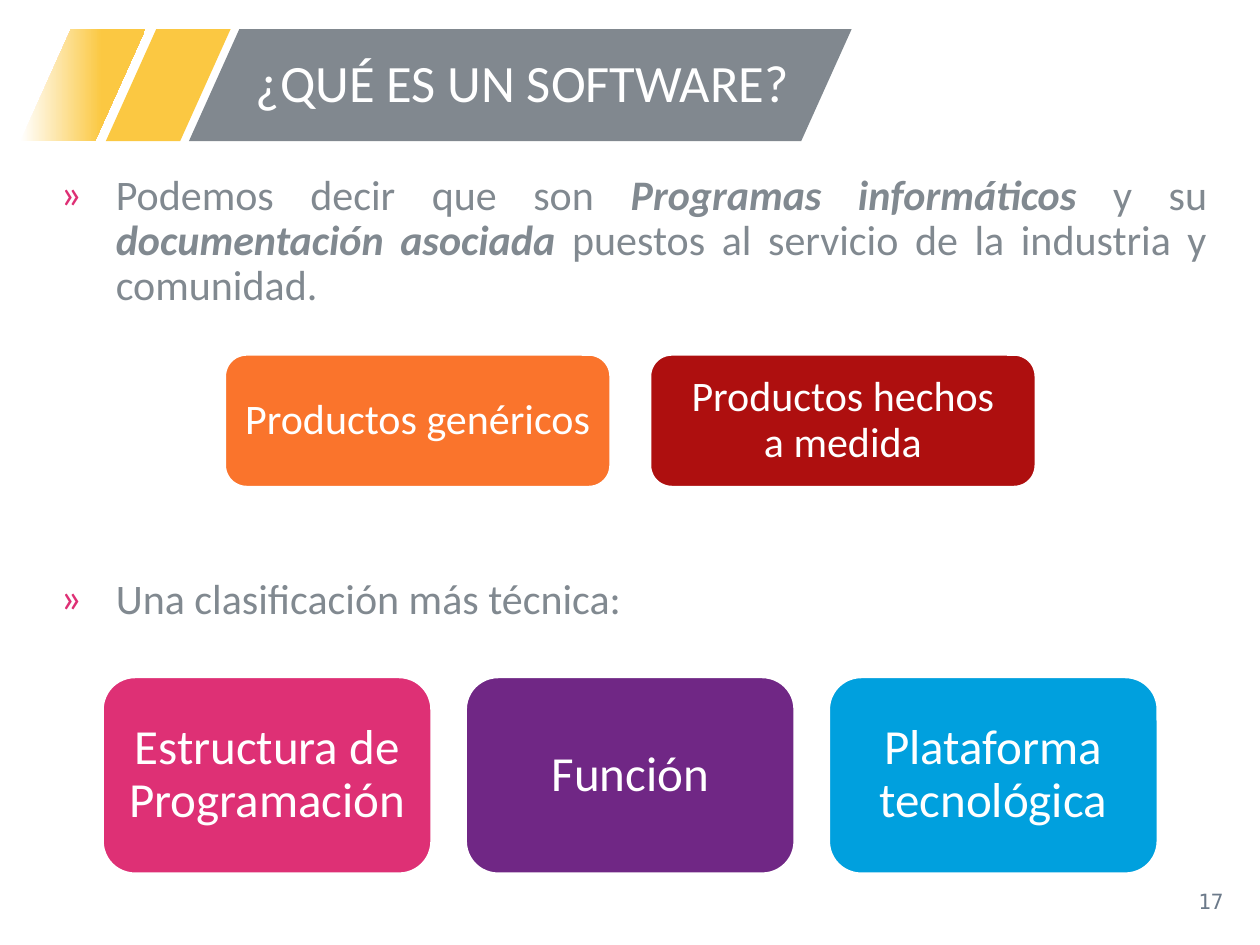
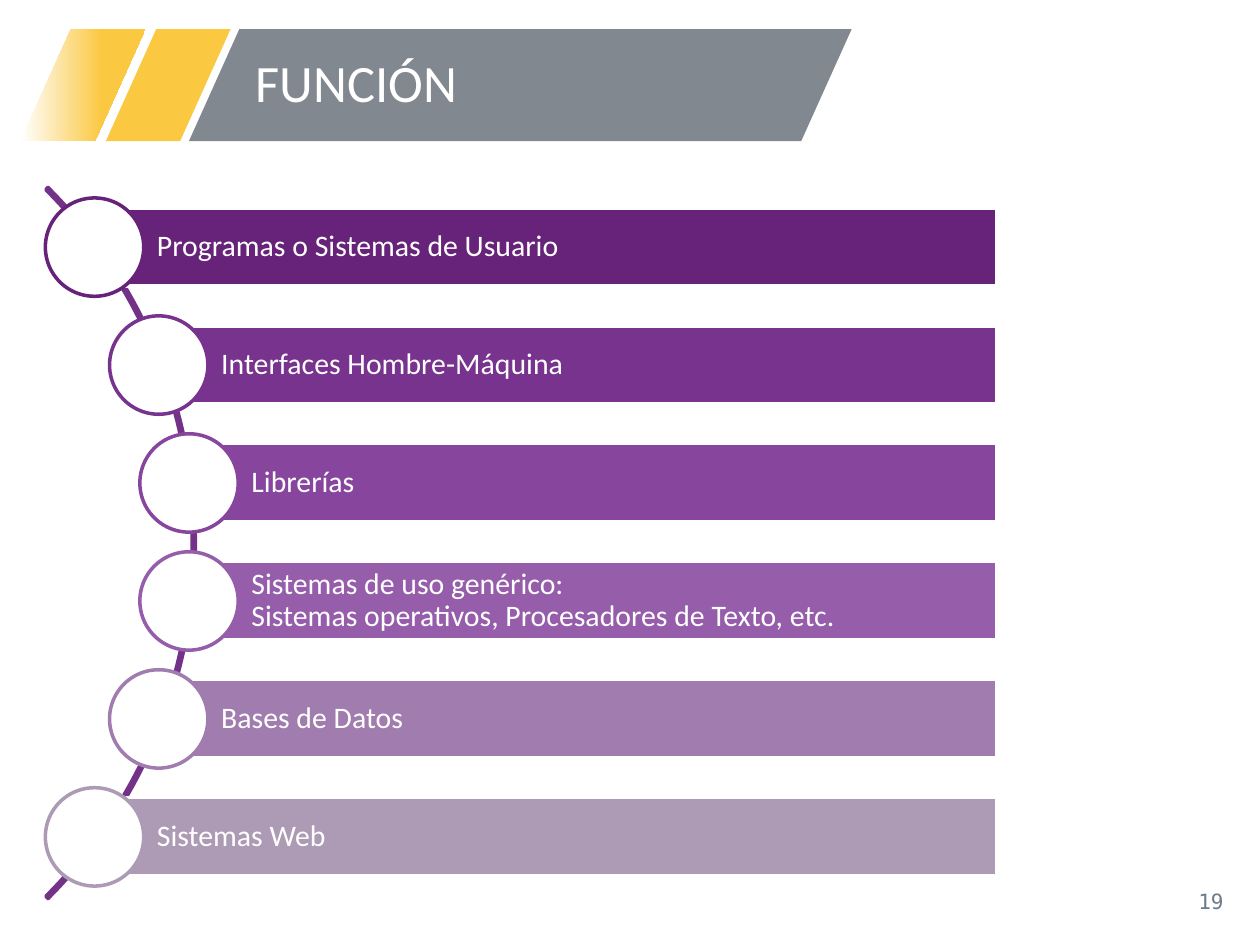
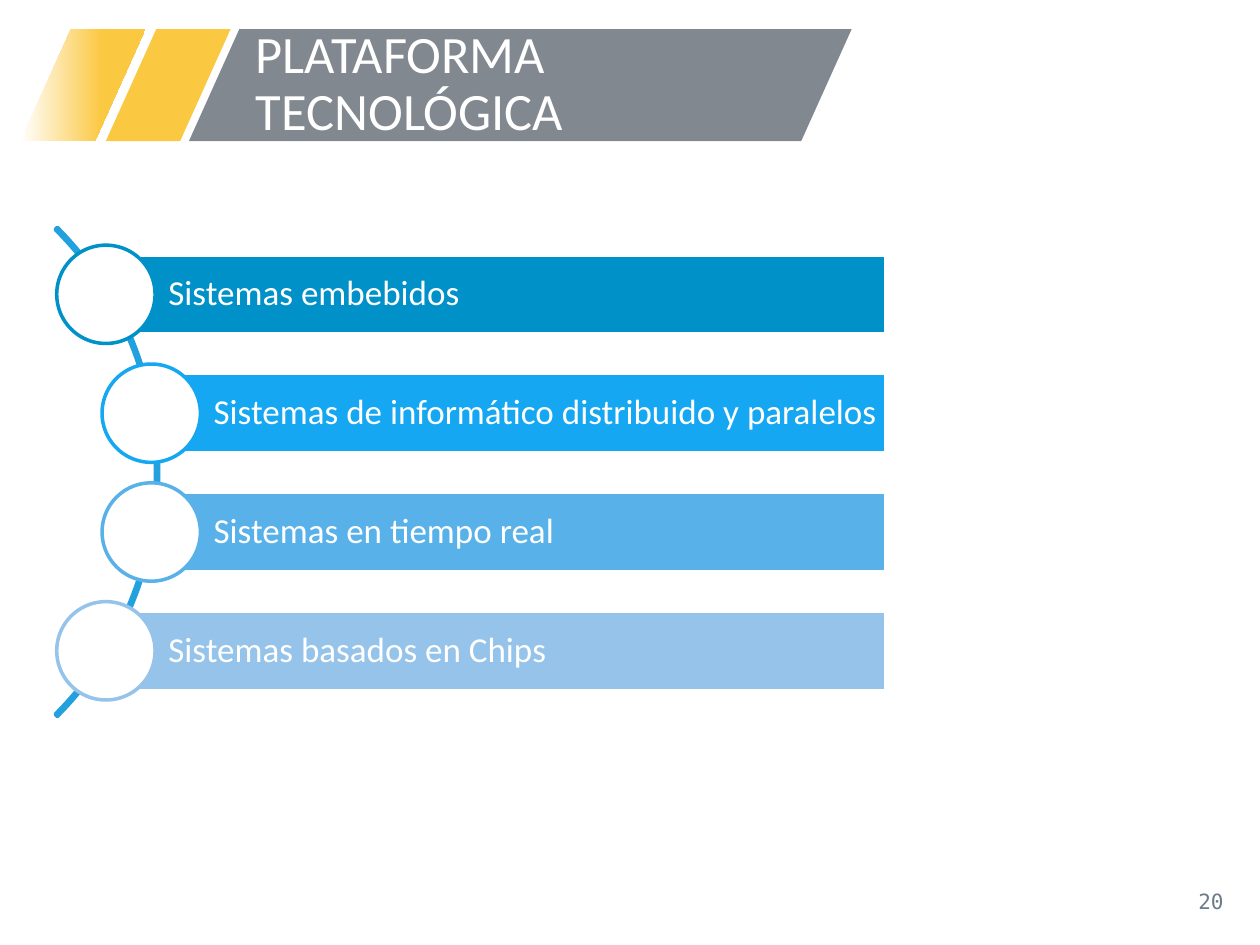
from lxml import etree
from pptx import Presentation
from pptx.dml.color import RGBColor
from pptx.enum.shapes import MSO_SHAPE
from pptx.enum.text import MSO_ANCHOR, MSO_AUTO_SIZE, PP_ALIGN
from pptx.oxml.ns import qn
from pptx.util import Pt

PARALLELOGRAM = MSO_SHAPE.PARALLELOGRAM
ROUNDED = MSO_SHAPE.ROUNDED_RECTANGLE
RECTANGLE = MSO_SHAPE.RECTANGLE
OVAL = MSO_SHAPE.OVAL
ARC = MSO_SHAPE.BLOCK_ARC
MIDDLE = MSO_ANCHOR.MIDDLE
TOP = MSO_ANCHOR.TOP
NO_FIT = MSO_AUTO_SIZE.NONE
LEFT, CENTER, RIGHT, JUSTIFY = PP_ALIGN.LEFT, PP_ALIGN.CENTER, PP_ALIGN.RIGHT, PP_ALIGN.JUSTIFY

WHITE, YELLOW, GRAY = "FFFFFF", "FBC842", "81888F"
BODY_GRAY, NUMBER_GRAY, PINK = "818990", "6C7A8A", "DE3075"
colour = RGBColor.from_string


def add_span(para, text, size, shade, face="Calibri", strong=False):
    span = para.add_run()
    span.text = text
    span.font.name = face
    span.font.size = Pt(size)
    span.font.color.rgb = colour(shade)
    span.font.bold = strong
    span.font.italic = strong


def draw_shape(page, kind, left, top, width, height, fill=None, line=None):
    shape = page.shapes.add_shape(kind, Pt(left), Pt(top), Pt(width), Pt(height))
    shape.shadow.inherit = False
    if fill:
        shape.fill.solid()
        shape.fill.fore_color.rgb = colour(fill)
    else:
        shape.fill.background()
    if line:
        shape.line.color.rgb = colour(line)
        shape.line.width = Pt(2)
    else:
        shape.line.fill.background()
    return shape


deck = Presentation()
deck.slide_width, deck.slide_height = Pt(720), Pt(540)
content_layout, title_layout = deck.slide_layouts[1], deck.slide_layouts[5]

pages = []
for layout, number, title in (
    (content_layout, "17", "¿QUÉ ES UN SOFTWARE?"),
    (title_layout, "19", "FUNCIÓN"),
    (title_layout, "20", "PLATAFORMA TECNOLÓGICA"),
):
    page = deck.slides.add_slide(layout)
    pages.append(page)
    heading = page.shapes.title
    heading.left, heading.top, heading.width, heading.height = Pt(139), Pt(16.6), Pt(337.7), Pt(64)
    heading.text_frame.auto_size = NO_FIT
    heading.text_frame.vertical_anchor = MIDDLE
    para = heading.text_frame.paragraphs[0]
    para.alignment = LEFT
    para.line_spacing = 0.9
    add_span(para, title, 30, WHITE)

    box = page.shapes.add_textbox(Pt(544.3), Pt(500.4), Pt(162), Pt(28.8))
    box.text_frame.word_wrap = True
    box.text_frame.vertical_anchor = MIDDLE
    para = box.text_frame.paragraphs[0]
    para.alignment = RIGHT
    add_span(para, number, 12, NUMBER_GRAY, "DejaVu Sans Mono")

software, function, platform = pages

for left, width, fill in ((60.5, 71.3, YELLOW), (11.8, 71.3, None), (108, 378.7, GRAY)):
    band = draw_shape(software, PARALLELOGRAM, left, 16.6, width, 64, fill)
    band.adjustments[0] = 0.45
    if fill is None:
        band.fill.gradient()
        band.fill.gradient_angle = 0
        for stop, shade, position in zip(band.fill.gradient_stops, (WHITE, YELLOW), (0, 0.65)):
            stop.color.rgb = colour(shade)
            stop.position = position
    deck.slide_master.shapes.element.append(band.element)

body = software.placeholders[1]
body.left, body.top, body.width, body.height = Pt(23), Pt(95.8), Pt(674), Pt(404.6)
body.text_frame.auto_size = NO_FIT
body.text_frame.vertical_anchor = TOP
points = (
    (0, (
        ("Podemos decir que son ", False),
        ("Programas informáticos ", True),
        ("y su ", False),
        ("documentación asociada ", True),
        ("puestos al servicio de la industria y comunidad.", False),
    )),
    (153, (("Una clasificación más técnica:", False),)),
)
for index, (gap, spans) in enumerate(points):
    para = body.text_frame.add_paragraph() if index else body.text_frame.paragraphs[0]
    para.alignment = JUSTIFY
    para.line_spacing = 0.9
    para.space_before = Pt(gap)
    properties = para._p.get_or_add_pPr()
    properties.set("marL", str(Pt(36)))
    properties.set("indent", str(Pt(-31.7)))
    bullet_colour = etree.SubElement(properties, qn("a:buClr"))
    etree.SubElement(bullet_colour, qn("a:srgbClr"), val=PINK)
    etree.SubElement(properties, qn("a:buFont"), typeface="Calibri")
    etree.SubElement(properties, qn("a:buChar"), char="»")
    for text, strong in spans:
        add_span(para, text, 24, BODY_GRAY, strong=strong)

card_rows = (
    (128.2, 202.3, 221, 76.3, 243, 24, 7.2, (
        ("Productos genéricos", "FA742C"),
        ("Productos hechos\na medida", "AE0F0F"),
    )),
    (58.3, 386.6, 188.6, 113, 207.5, 28, 8.6, (
        ("Estructura de Programación", PINK),
        ("Función", "702785"),
        ("Plataforma tecnológica", "00A0DE"),
    )),
)
for left, top, width, height, step, size, inset, cards in card_rows:
    for index, (label, fill) in enumerate(cards):
        card = draw_shape(software, ROUNDED, left + index * step, top, width, height, fill, WHITE)
        frame = card.text_frame
        frame.word_wrap = True
        frame.vertical_anchor = MIDDLE
        frame.margin_left = frame.margin_right = frame.margin_top = frame.margin_bottom = Pt(inset)
        para = frame.paragraphs[0]
        para.alignment = CENTER
        para.line_spacing = 0.9
        for line_number, text in enumerate(label.split("\n")):
            if line_number:
                para.add_line_break()
            add_span(para, text, size, WHITE)

arc_lists = (
    (function, (-463, 23, 574.6), "733287", 118.8, 67.4, 44.8, 569.5, 17, 3.6, (
        ("Programas o Sistemas de Usuario", 54, "662379"),
        ("Interfaces Hombre-Máquina", 90.7, "77338D"),
        ("Librerías", 108, "87459E"),
        ("Sistemas de uso genérico:\nSistemas operativos, Procesadores de Texto, etc.", 108, "955DAA"),
        ("Bases de Datos", 90.7, "A07DAE"),
        ("Sistemas Web", 54, "AD9AB5"),
    )),
    (platform, (-304.6, 72, 395.3), "22A1DE", 145.6, 67.9, 45.2, 506.2, 20, 4, (
        ("Sistemas embebidos", 60.5, "0091C9"),
        ("Sistemas de informático distribuido y paralelos", 86.4, "15A7F1"),
        ("Sistemas en tiempo real", 86.4, "59B1E9"),
        ("Sistemas basados en Chips", 60.5, "95C3E9"),
    )),
)
DISC = 56.2
for page, (arc_left, arc_top, arc_size), arc_shade, top, step, height, right, size, inset, items in arc_lists:
    arc = draw_shape(page, ARC, arc_left, arc_top, arc_size, arc_size, line=arc_shade)
    arc.adjustments[0] = 189
    arc.adjustments[1] = 27
    arc.adjustments[2] = 1.8 / arc_size
    for index, (label, left, shade) in enumerate(items):
        bar_top = top + index * step
        bar = draw_shape(page, RECTANGLE, left, bar_top, right - left, height, shade, WHITE)
        frame = bar.text_frame
        frame.word_wrap = True
        frame.vertical_anchor = MIDDLE
        frame.margin_left = Pt(35.7)
        frame.margin_right = frame.margin_top = frame.margin_bottom = Pt(inset)
        para = frame.paragraphs[0]
        para.alignment = LEFT
        para.line_spacing = 0.9
        for line_number, text in enumerate(label.split("\n")):
            if line_number:
                para.add_line_break()
            add_span(para, text, size, WHITE)
        draw_shape(page, OVAL, left - DISC / 2, bar_top + (height - DISC) / 2, DISC, DISC, WHITE, shade)

deck.save("out.pptx")
